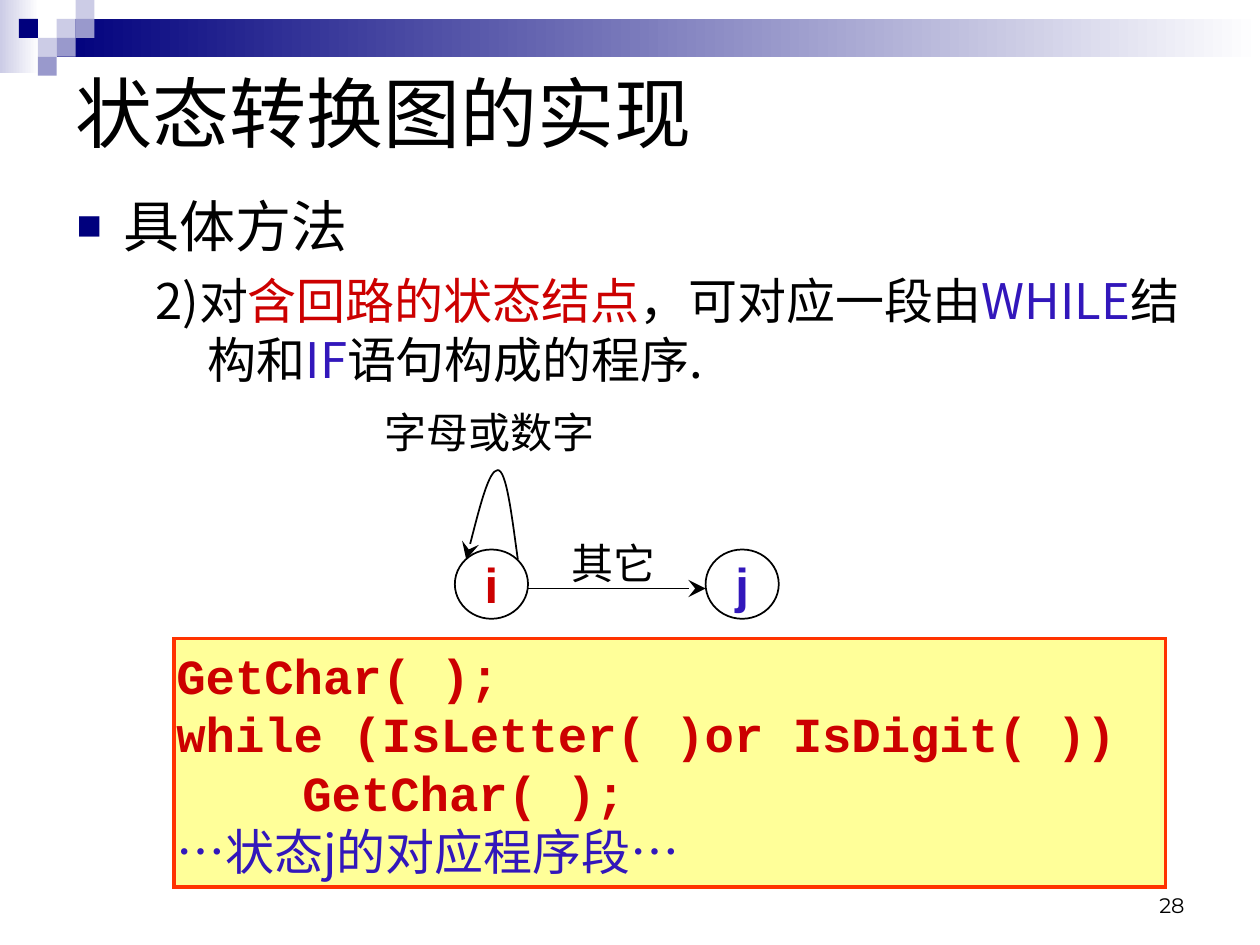
from lxml import etree
from pptx import Presentation
from pptx.dml.color import RGBColor
from pptx.enum.shapes import MSO_CONNECTOR as Connector, MSO_SHAPE as Shape
from pptx.enum.text import MSO_ANCHOR as Anchor, PP_ALIGN as Align
from pptx.oxml.ns import qn
from pptx.util import Pt

COLORS = {
    "black": "000000", "navy": "00007D", "lavender": "CCCCE6", "periwinkle": "9999CC",
    "white": "FFFFFF", "red": "CC0000", "violet": "3217BB", "yellow": "FFFF99",
    "orange": "FF3300",
}
CJK = "Noto Sans CJK SC"


def rgb(name):
    return RGBColor.from_string(COLORS[name])


def style_run(run, size, color="black", name=CJK, bold=False):
    font = run.font
    font.size, font.name, font.bold = Pt(size), name, bold
    font.color.rgb = rgb(color)
    etree.SubElement(font._element, qn("a:ea"), typeface=CJK)


def set_insets(frame, x=7.2, y=3.6):
    frame.margin_left = frame.margin_right = Pt(x)
    frame.margin_top = frame.margin_bottom = Pt(y)


def add_shape(slide, kind, box, fill=None, line=None, width=1):
    shape = slide.shapes.add_shape(kind, *map(Pt, box))
    shape.shadow.inherit = False
    if fill:
        shape.fill.solid()
        shape.fill.fore_color.rgb = rgb(fill)
    else:
        shape.fill.background()
    if line:
        shape.line.color.rgb = rgb(line)
        shape.line.width = Pt(width)
    else:
        shape.line.fill.background()
    return shape


def add_label(slide, box, text, size, name="Arial", align=Align.LEFT, anchor=Anchor.TOP):
    frame = slide.shapes.add_textbox(*map(Pt, box)).text_frame
    frame.word_wrap = True
    frame.vertical_anchor = anchor
    set_insets(frame)
    frame.text = text
    paragraph = frame.paragraphs[0]
    paragraph.alignment = align
    style_run(paragraph.runs[0], size, name=name)


def add_gradient(slide, box, start):
    shape = add_shape(slide, Shape.RECTANGLE, box)
    shape.fill.gradient()
    shape.fill.gradient_angle = 0
    for stop, color, position in zip(shape.fill.gradient_stops, (start, "white"), (0, 1)):
        stop.color.rgb = rgb(color)
        stop.position = position


def add_banner(slide, left, top, width):
    """Gradient strips with a mosaic of squares laid on a grid."""
    unit = 10.8
    add_gradient(slide, (left, top, 22.3, 41.8), "lavender")
    add_gradient(slide, (left + 3 * unit, top + unit, width - 3 * unit, 2 * unit), "navy")
    squares = [(3, 1, "lavender"), (4, 0, "lavender"), (4, 1, "periwinkle"),
               (2, 2, "lavender"), (1, 1, "navy"), (3, 2, "periwinkle"),
               (2, 3, "periwinkle")]
    for column, row, color in squares:
        box = (left + column * unit, top + row * unit, unit, unit)
        add_shape(slide, Shape.RECTANGLE, box, color)


def add_title(slide, left, top, width, height):
    title = slide.shapes.title
    title.left, title.top, title.width, title.height = map(Pt, (left, top, width, height))
    frame = title.text_frame
    frame.text = "状态转换图的实现"
    frame.vertical_anchor = Anchor.MIDDLE
    frame.paragraphs[0].alignment = Align.LEFT
    style_run(frame.paragraphs[0].runs[0], 44, name="Arial")


def indent(paragraph, margin, hanging):
    properties = paragraph._p.get_or_add_pPr()
    properties.set("marL", str(Pt(margin)))
    properties.set("indent", str(Pt(-hanging)))
    return properties


def add_body(slide, left, top, width, height):
    frame = slide.shapes.add_textbox(*map(Pt, (left, top, width, height))).text_frame
    frame.word_wrap = True
    set_insets(frame)

    heading = frame.paragraphs[0]
    heading.text = "具体方法"
    properties = indent(heading, 27, 27)
    color = etree.SubElement(properties, qn("a:buClr"))
    etree.SubElement(color, qn("a:srgbClr"), val=COLORS["navy"])
    etree.SubElement(properties, qn("a:buSzPct"), val="75000")
    etree.SubElement(properties, qn("a:buFont"), typeface="Arial")
    etree.SubElement(properties, qn("a:buChar"), char="■")
    style_run(heading.runs[0], 32)

    method = frame.add_paragraph()
    indent(method, 75, 30)
    method.space_before = Pt(7)
    pieces = [("2)对", "black"), ("含回路的状态结点", "red"), ("，可对应一段由", "black"),
              ("WHILE", "violet"), ("结构和", "black"), ("IF", "violet"),
              ("语句构成的程序.", "black")]
    for text, color in pieces:
        run = method.add_run()
        run.text = text
        style_run(run, 28, color)


def add_arrowhead(shape):
    shape.line.color.rgb = rgb("black")
    shape.line.width = Pt(1)
    etree.SubElement(shape.line._get_or_add_ln(), qn("a:tailEnd"),
                     type="stealth", w="lg", len="lg")


def add_state(slide, left, top, name, color):
    state = add_shape(slide, Shape.OVAL, (left, top, 41.8, 39.6), line="black")
    frame = state.text_frame
    frame.word_wrap = False
    frame.vertical_anchor = Anchor.MIDDLE
    set_insets(frame)
    frame.text = name
    frame.paragraphs[0].alignment = Align.CENTER
    style_run(frame.paragraphs[0].runs[0], 28, color, "Arial", True)


def add_loop(slide, left, top, width, height):
    """Two Bezier curves that rise from the right and come down on the left."""
    offsets = [(0.88, 0.5), (0.78, 0), (0.61, 0), (0.44, 0), (0.22, 0.5), (0, 1)]
    points = [(Pt(left + x * width), Pt(top + y * height)) for x, y in offsets]
    builder = slide.shapes.build_freeform(Pt(left + width), Pt(top + height))
    builder.add_line_segments(points, close=False)
    loop = builder.convert_to_shape()
    loop.shadow.inherit = False
    loop.fill.background()
    outline = next(loop._element.iter(qn("a:path")))
    segments = outline.findall(qn("a:lnTo"))
    for start in range(0, len(segments), 3):
        curve = etree.SubElement(outline, qn("a:cubicBezTo"))
        for segment in segments[start:start + 3]:
            curve.append(segment[0])
            outline.remove(segment)
    add_arrowhead(loop)


def add_diagram(slide, left, top):
    add_state(slide, left + 47.5, top + 85, "i", "red")
    add_loop(slide, left + 54, top + 39.6, 29.5, 51.1)
    add_label(slide, (left, top, 154, 36), "字母或数字", 24)
    ends = (left + 89.3, top + 107.3, left + 190.8, top + 107.3)
    arrow = slide.shapes.add_connector(Connector.STRAIGHT, *map(Pt, ends))
    add_arrowhead(arrow)
    etree.SubElement(arrow._element.spPr, qn("a:effectLst"))
    add_label(slide, (left + 107.3, top + 74.9, 70, 36), "其它", 24)
    add_state(slide, left + 190.8, top + 85, "j", "violet")


def add_code(slide, left, top, width, height):
    box = (left, top, width, height)
    panel = add_shape(slide, Shape.RECTANGLE, box, "yellow", "orange", 2)
    etree.SubElement(panel.line._get_or_add_ln(), qn("a:miter"), lim="800000")
    frame = panel.text_frame
    frame.word_wrap = True
    frame.vertical_anchor = Anchor.MIDDLE
    set_insets(frame, 1.4)
    code = ["GetChar( );", "while (IsLetter( )or IsDigit( ))", "\tGetChar( );"]
    frame.text = "\n".join(code + ["…状态j的对应程序段…"])
    for paragraph in frame.paragraphs:
        paragraph.alignment = Align.LEFT
    *code_lines, remark = frame.paragraphs
    tabs = etree.SubElement(code_lines[-1]._p.get_or_add_pPr(), qn("a:tabLst"))
    etree.SubElement(tabs, qn("a:tab"), pos=str(Pt(72)), algn="l")
    for paragraph in code_lines:
        style_run(paragraph.runs[0], 28, "red", "Courier New", True)
    style_run(remark.runs[0], 28, "violet")


def main():
    presentation = Presentation()
    presentation.slide_width, presentation.slide_height = Pt(720), Pt(540)
    slide = presentation.slides.add_slide(presentation.slide_layouts[5])
    add_banner(slide, 0, 0, 720)
    add_label(slide, (516, 492, 168, 36), "28", 12, "Montserrat", Align.RIGHT, Anchor.BOTTOM)
    add_body(slide, 36.7, 105.8, 648, 136)
    add_diagram(slide, 212.4, 229)
    add_code(slide, 99.4, 365, 566.6, 141.8)
    add_title(slide, 36, 26, 648, 75.6)
    presentation.save("out.pptx")


if __name__ == "__main__":
    main()
